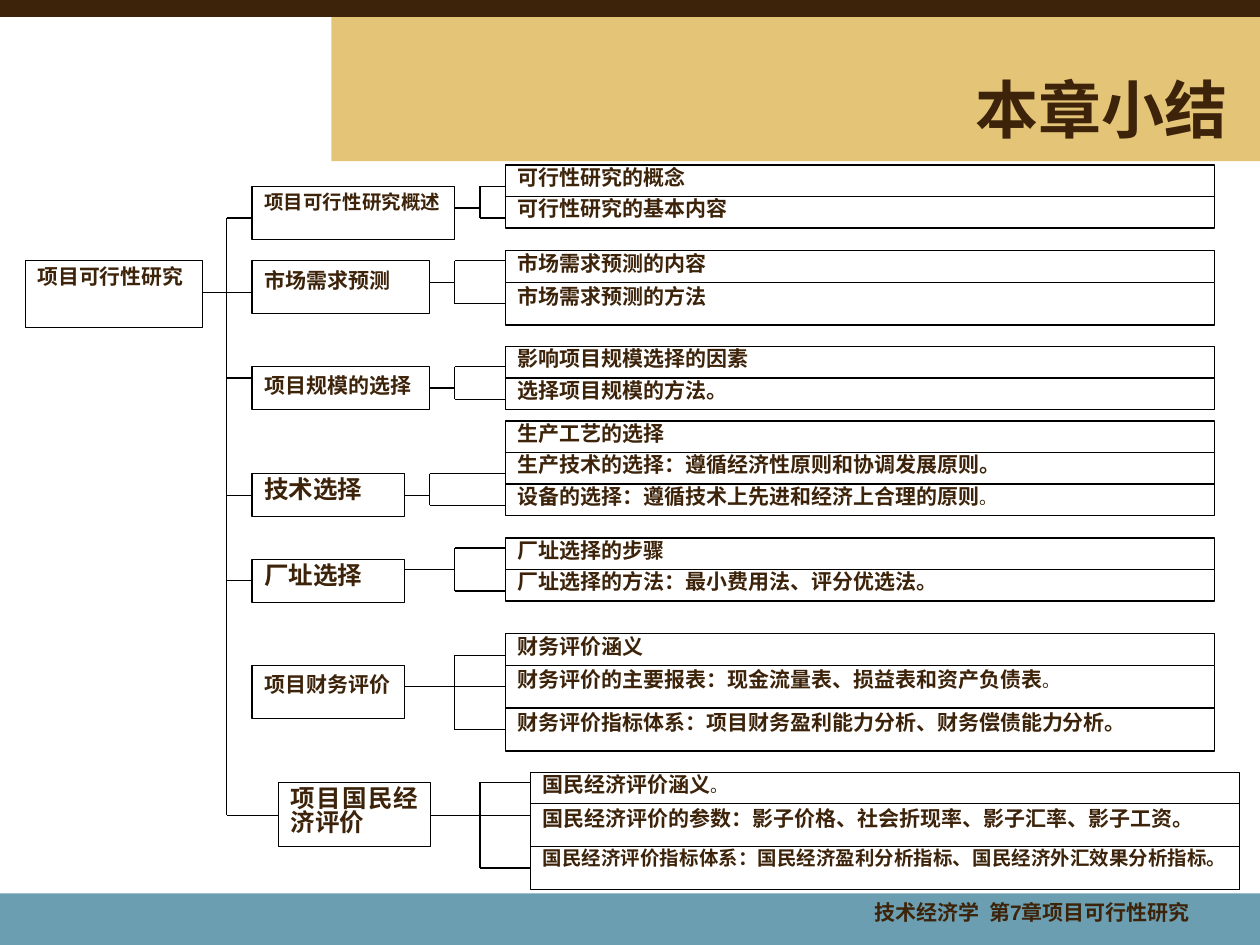
import pptx
import pptx.dml.color
import pptx.enum.shapes
import pptx.enum.text
import pptx.oxml.ns
import pptx.util
from lxml import etree

Inches = pptx.util.Inches
Align = pptx.enum.text.PP_ALIGN
Anchor = pptx.enum.text.MSO_ANCHOR

BROWN, SAND, BLUE = "3C230A", "E4C578", "6A9EB0"
WHITE, BLACK = "FFFFFF", "000000"
LEAF_W, LOW, TALL = 5.63, 0.25, 0.34
TRUNK = 1.8

ROOT = ("项目可行性研究", (0.2, 2.07, 1.41, 0.53), 2.32)

# Each leaf: text, height, then optional size and light full stop.
BRANCHES = [
    dict(name="项目可行性研究概述", box=(2, 1.48, 1.61, 0.42), size=11.1, gap=0.9,
         entry=1.73, stem=1.65, fork=3.81, tips=(1.48, 1.73), start=(4.01, 1.31),
         leaves=[("可行性研究的概念", LOW), ("可行性研究的基本内容", LOW)]),
    dict(name="市场需求预测", box=(2, 2.07, 1.41, 0.42), size=12, gap=1.0,
         entry=2.32, stem=2.24, fork=3.61, tips=(2.07, 2.41), start=(4.01, 1.99),
         leaves=[("市场需求预测的内容", LOW), ("市场需求预测的方法", TALL)]),
    dict(name="项目规模的选择", box=(2, 2.91, 1.41, 0.34), size=12, gap=1.0,
         entry=3, stem=3.08, fork=3.61, tips=(2.91, 3.17), start=(4.01, 2.75),
         leaves=[("影响项目规模选择的因素", LOW), ("选择项目规模的方法。", LOW)]),
    dict(name="技术选择", box=(2, 3.76, 1.21, 0.34), size=14, gap=0.8,
         entry=3.93, stem=3.93, fork=3.41, tips=(3.76, 4.01), start=(4.01, 3.34),
         leaves=[("生产工艺的选择", LOW),
                 ("生产技术的选择：遵循经济性原则和协调发展原则。", LOW),
                 ("设备的选择：遵循技术上先进和经济上合理的原则", LOW, 12, "。")]),
    dict(name="厂址选择", box=(2, 4.44, 1.21, 0.34), size=14, gap=0.8,
         entry=4.61, stem=4.52, fork=3.61, tips=(4.35, 4.69), start=(4.01, 4.27),
         leaves=[("厂址选择的步骤", LOW),
                 ("厂址选择的方法：最小费用法、评分优选法。", LOW)]),
    dict(name="项目财务评价", box=(2, 5.28, 1.21, 0.42), size=12, gap=1.0,
         entry=6.47, stem=5.45, fork=3.61, tips=(5.2, 5.45, 5.79), start=(4.01, 5.03),
         leaves=[("财务评价涵义", LOW),
                 ("财务评价的主要报表：现金流量表、损益表和资产负债表", TALL, 12, "。"),
                 ("财务评价指标体系：项目财务盈利能力分析、财务偿债能力分析。", TALL)]),
    dict(name="项目国民经济评价", box=(2.21, 6.21, 1.21, 0.51), size=14, gap=0.8,
         entry=6.47, stem=6.47, fork=3.81, tips=(6.21, 6.47, 6.89), start=(4.21, 6.13),
         leaves=[("国民经济评价涵义", LOW, 12, "。"),
                 ("国民经济评价的参数：影子价格、社会折现率、影子汇率、影子工资。", TALL),
                 ("国民经济评价指标体系：国民经济盈利分析指标、国民经济外汇效果分析指标。",
                  TALL, 11.1)]),
]
BRANCHES[5]["entry"] = None


def color(code):
    """Turn a hex string into a colour."""
    return pptx.dml.color.RGBColor.from_string(code)


def put(item, values):
    """Set each attribute of item from a dict."""
    for key, value in values.items():
        setattr(item, key, value)


def rect(slide, box, fill, edge=None):
    """Draw a flat rectangle."""
    shape = slide.shapes.add_shape(
        pptx.enum.shapes.MSO_SHAPE.RECTANGLE, *map(Inches, box))
    shape.shadow.inherit = False
    shape.fill.solid()
    shape.fill.fore_color.rgb = color(fill)
    if edge:
        shape.line.color.rgb = color(edge)
        shape.line.width = pptx.util.Pt(0.75)
    else:
        shape.line.fill.background()
    return shape


def write(shape, runs, align, gap=1.0, face="Times New Roman", anchor=Anchor.TOP):
    """Write runs of text, size and weight into a shape."""
    frame = shape.text_frame
    put(frame, dict(word_wrap=True, vertical_anchor=anchor))
    para = frame.paragraphs[0]
    put(para, dict(alignment=align, line_spacing=gap))
    for text, size, bold in runs:
        run = para.add_run()
        run.text = text
        put(run.font, dict(name=face, size=pptx.util.Pt(size), bold=bold))
        run.font.color.rgb = color(BROWN)


def line(slide, left, top, right, bottom):
    """Draw a thin black line."""
    link = slide.shapes.add_connector(
        pptx.enum.shapes.MSO_CONNECTOR.STRAIGHT,
        *map(Inches, (left, top, right, bottom)))
    link.line.color.rgb = color(BLACK)
    link.line.width = pptx.util.Pt(0.75)
    etree.SubElement(link._element.spPr, pptx.oxml.ns.qn("a:effectLst"))


def node(slide, box, runs, gap):
    """Draw a white box of the tree with its text."""
    write(rect(slide, box, WHITE, BLACK), runs, Align.JUSTIFY, gap)


def frame(slide):
    """Draw the bands, the title and the footer."""
    rect(slide, (2.63, 0.13, 7.37, 1.15), SAND)
    rect(slide, (0, 7.09, 10, 0.44), BLUE)
    rect(slide, (0, 0, 10, 0.13), BROWN, BROWN)
    for box, text, size, anchor in (
            ((6.02, 7.09, 3.56, 0.33), "技术经济学  第7章项目可行性研究 ", 12, Anchor.TOP),
            ((2.92, 0.55, 6.92, 0.62), "本章小结", 36, Anchor.MIDDLE)):
        label = slide.shapes.add_textbox(*map(Inches, box))
        write(label, [(text, size, True)], Align.RIGHT, face="Arial", anchor=anchor)


def stack(slide, left, top, leaves):
    """Pile the leaf boxes down from one corner."""
    for text, high, *more in leaves:
        size = more[0] if more else 12
        runs = [(text, size, True)] + [(stop, 10, False) for stop in more[1:]]
        gap = 0.8 if high == TALL and size == 12 else 0.7
        node(slide, (left, top, LEAF_W, high), runs, gap)
        top += high


def branch(slide, name, box, size, gap, entry, stem, fork, tips, start, leaves):
    """Draw one topic, its fork and its leaves."""
    if entry is not None:
        line(slide, TRUNK, entry, box[0], entry)
    line(slide, box[0] + box[2], stem, fork, stem)
    line(slide, fork, tips[0], fork, tips[-1])
    for tip in tips:
        line(slide, fork, tip, start[0], tip)
    node(slide, box, [(name, size, True)], gap)
    stack(slide, *start, leaves)


def tree(slide):
    """Draw the root, the trunk and every branch."""
    name, box, stem = ROOT
    node(slide, box, [(name, 11.9, True)], 0.9)
    line(slide, box[0] + box[2], stem, TRUNK, stem)
    line(slide, TRUNK, BRANCHES[0]["entry"], TRUNK, BRANCHES[-1]["entry"])
    for part in BRANCHES:
        branch(slide, **part)


def main():
    """Build and save the slide."""
    deck = pptx.Presentation()
    put(deck, dict(slide_width=Inches(10), slide_height=Inches(7.5)))
    slide = deck.slides.add_slide(deck.slide_layouts[6])
    frame(slide)
    tree(slide)
    deck.save("out.pptx")


if __name__ == "__main__":
    main()
